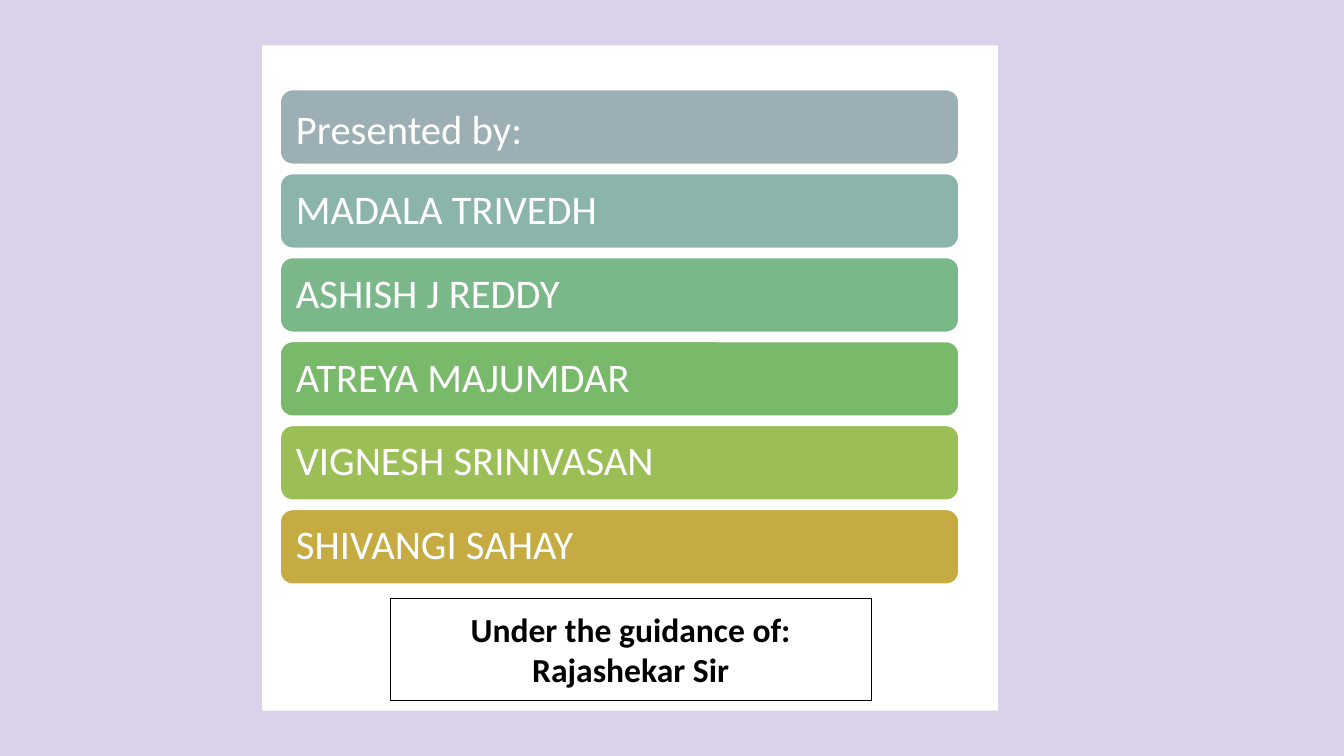
from lxml import etree
from pptx import Presentation, util as u
from pptx.dml.color import RGBColor
from pptx.enum import shapes, text
from pptx.oxml import ns

COLORS = {"bg": "D9D2E9", "white": "FFFFFF", "black": "000000"}
BARS = [
    ("Presented by:", "9BAFB5"),
    ("MADALA TRIVEDH", "8BB5AA"),
    ("ASHISH J REDDY", "7AB88A"),
    ("ATREYA MAJUMDAR", "78BA69"),
    ("VIGNESH SRINIVASAN", "9BBF56"),
    ("SHIVANGI SAHAY", "C5AB42"),
]
GUIDANCE = ["Under the guidance of:", "Rajashekar Sir"]
BAR_LEFT, BAR_TOP, BAR_W, BAR_H, BAR_PITCH = 2.78, 0.89, 6.73, 0.74, 0.833


def add_box(kind, left, top, width, height, fill=None, line=None, weight=1):
    sp = s.shapes.add_shape(kind, *map(u.Inches, (left, top, width, height)))
    sp.shadow.inherit = False
    if fill:
        sp.fill.solid()
        sp.fill.fore_color.rgb = RGBColor.from_string(fill)
    else:
        sp.fill.background()
    if line:
        sp.line.color.rgb = RGBColor.from_string(line)
        sp.line.width = u.Pt(weight)
    else:
        sp.line.fill.background()
    return sp


def add_run(p, words, size, color, bold=False):
    r = p.add_run()
    r.text = words
    r.font.size = u.Pt(size)
    r.font.bold = bold
    r.font.color.rgb = RGBColor.from_string(color)
    r.font.name = "Calibri"
    return r


prs = Presentation()
prs.slide_width, prs.slide_height = u.Inches(13.33), u.Inches(7.5)
s = prs.slides.add_slide(prs.slide_layouts[6])
s.background.fill.solid()
s.background.fill.fore_color.rgb = RGBColor.from_string(COLORS["bg"])

add_box(shapes.MSO_SHAPE.RECTANGLE, 2.6, 0.45, 7.3, 6.6, COLORS["white"])

for row, (words, fill) in enumerate(BARS):
    sp = add_box(shapes.MSO_SHAPE.ROUNDED_RECTANGLE, BAR_LEFT, BAR_TOP + row * BAR_PITCH,
                 BAR_W, BAR_H, fill, COLORS["white"])
    sp.adjustments[0] = 0.167
    tf = sp.text_frame
    tf.word_wrap = True
    tf.vertical_anchor = text.MSO_ANCHOR.MIDDLE
    tf.margin_left = tf.margin_right = u.Inches(0.12)
    tf.margin_top = u.Inches(0.09 if row == 0 else 0)
    tf.margin_bottom = 0
    p = tf.paragraphs[0]
    p.alignment = text.PP_ALIGN.LEFT
    p.line_spacing = 0.9
    r = add_run(p, words, 29, COLORS["white"])
    effects = etree.Element(ns.qn("a:effectLst"))
    shadow = etree.SubElement(effects, ns.qn("a:outerShdw"), blurRad="38100",
                              dist="38100", dir="2700000", algn="tl")
    tint = etree.SubElement(shadow, ns.qn("a:srgbClr"), val=COLORS["black"])
    etree.SubElement(tint, ns.qn("a:alpha"), val="43000")
    r.font._element.find(ns.qn("a:solidFill")).addnext(effects)

sp = add_box(shapes.MSO_SHAPE.RECTANGLE, 3.87, 5.94, 4.77, 1.01, line=COLORS["black"], weight=0.75)
tf = sp.text_frame
tf.word_wrap = True
tf.auto_size = text.MSO_AUTO_SIZE.SHAPE_TO_FIT_TEXT
tf.vertical_anchor = text.MSO_ANCHOR.TOP
tf.margin_left = tf.margin_right = tf.margin_top = tf.margin_bottom = u.Inches(0.1)
for i, words in enumerate(GUIDANCE):
    p = tf.add_paragraph() if i else tf.paragraphs[0]
    p.alignment = text.PP_ALIGN.CENTER
    add_run(p, words, 24, COLORS["black"], bold=True)

prs.save("out.pptx")
